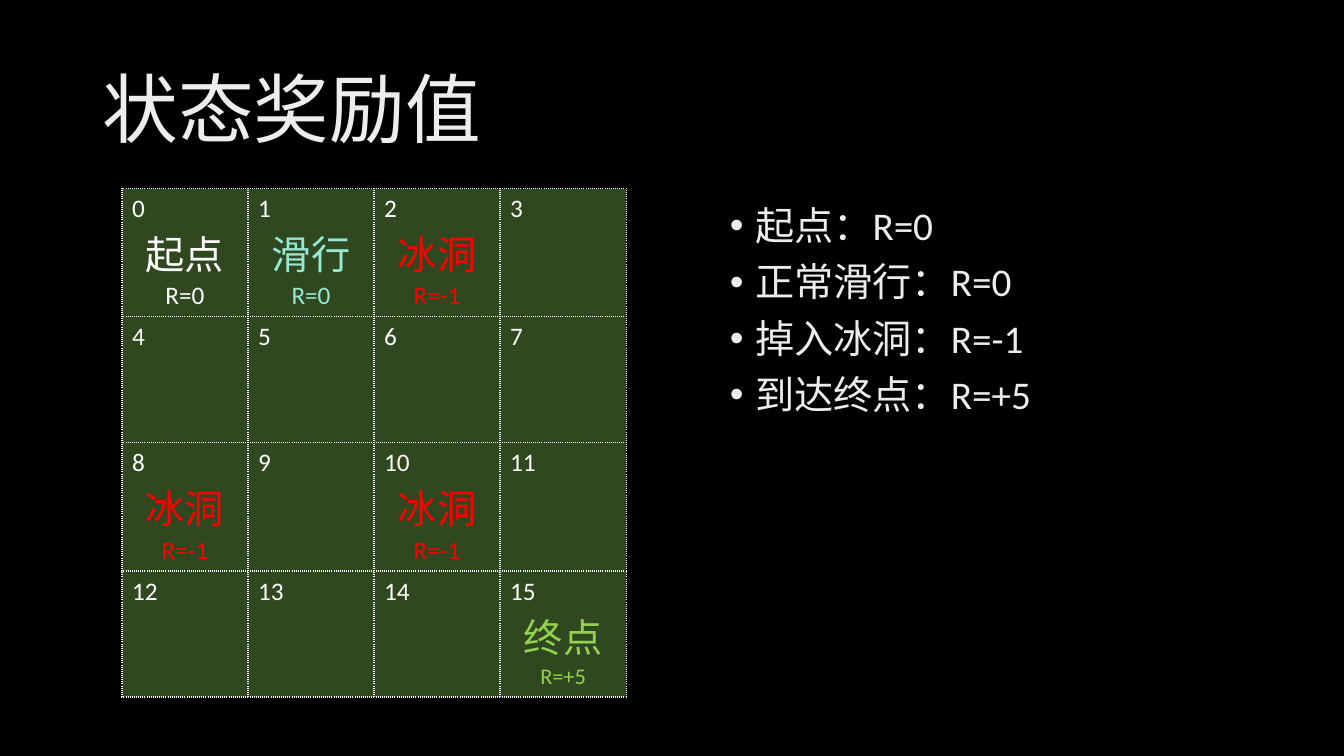
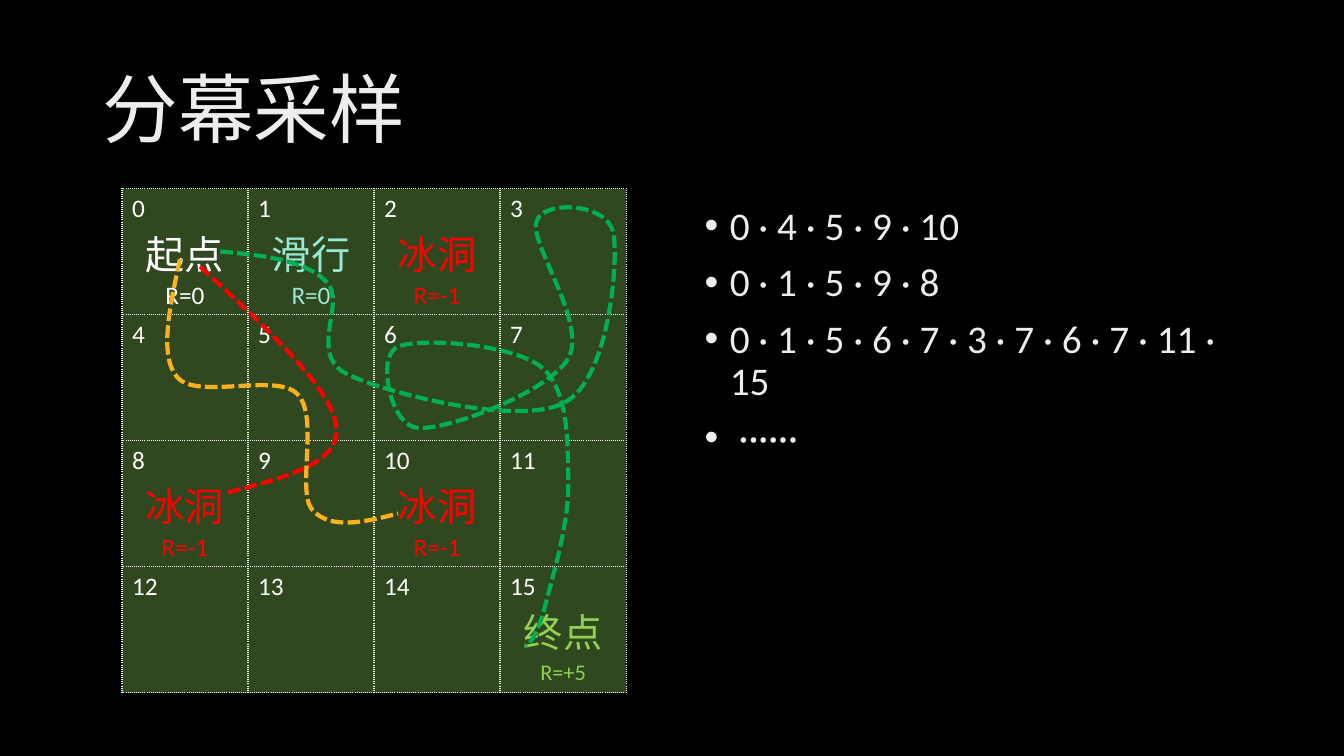
from dataclasses import dataclass

from lxml import etree
from pptx import Presentation
from pptx import util as u
from pptx.dml.color import RGBColor
from pptx.enum import dml, text
from pptx.oxml import ns, parse_xml


@dataclass(frozen=True)
class Theme:
    font: str = "Calibri"
    background: str = "000000"
    ink: str = "FFFFFF"
    board: str = "30481F"
    glide: str = "97E9D5"
    hole: str = "FF0000"
    goal: str = "92D050"
    orange: str = "FCB11C"
    green: str = "00B050"
    shades: tuple[str, str, str] = ("BFBFBF", "EDEDED", "FFFFFF")
    title_size: int = 54
    body_size: int = 28
    label_size: int = 28
    small_size: int = 18
    goal_size: int = 16
    border_width: int = 1
    route_width: int = 3


@dataclass(frozen=True)
class Box:
    """A rectangle in inches."""
    left: float
    top: float
    width: float
    height: float

    def lengths(self) -> tuple[int, ...]:
        return tuple(u.Inches(side) for side in (self.left, self.top, self.width, self.height))


@dataclass(frozen=True)
class Landmark:
    label: str
    reward: str
    color: str
    reward_size: int


@dataclass(frozen=True)
class Route:
    """A chain of cubic curves; points are (column, row) on the board."""
    color: str
    points: tuple[tuple[float, float], ...]


@dataclass(frozen=True)
class Page:
    title: str
    body_left: float
    bullets: tuple[str, ...]
    routes: tuple[Route, ...] = ()


THEME = Theme()
SLIDE_WIDTH, SLIDE_HEIGHT = 13.33, 7.5
TITLE_BOX = Box(0.92, 0.4, 11.5, 1.45)
BODY_TOP, BODY_HEIGHT = 2, 4.76
BODY_RIGHT = TITLE_BOX.left + TITLE_BOX.width
BOARD_LEFT, BOARD_TOP, CELL, GRID = 1.21, 1.87, 1.25, 4

HOLE = Landmark("冰洞", "R=-1", THEME.hole, THEME.small_size)
LANDMARKS = {
    0: Landmark("起点", "R=0", THEME.ink, THEME.small_size),
    1: Landmark("滑行", "R=0", THEME.glide, THEME.small_size),
    2: HOLE,
    8: HOLE,
    10: HOLE,
    15: Landmark("终点", "R=+5", THEME.goal, THEME.goal_size),
}

ROUTES = (
    Route(THEME.hole, (
        (0.62, 0.62),
        (1.14, 1.10), (1.67, 1.59), (1.70, 1.89),
        (1.74, 2.19), (1.27, 2.30), (0.81, 2.42),
    )),
    Route(THEME.orange, (
        (0.46, 0.56),
        (0.38, 0.94), (0.29, 1.33), (0.44, 1.50),
        (0.60, 1.68), (1.22, 1.46), (1.39, 1.63),
        (1.57, 1.81), (1.38, 2.40), (1.51, 2.55),
        (1.65, 2.71), (1.92, 2.65), (2.19, 2.58),
    )),
    Route(THEME.green, (
        (0.78, 0.50),
        (1.12, 0.53), (1.46, 0.57), (1.62, 0.74),
        (1.79, 0.90), (1.47, 1.31), (1.78, 1.47),
        (2.10, 1.63), (3.16, 1.89), (3.51, 1.70),
        (3.86, 1.52), (3.94, 0.60), (3.90, 0.36),
        (3.86, 0.11), (3.34, 0.09), (3.29, 0.26),
        (3.22, 0.42), (3.70, 1.07), (3.54, 1.35),
        (3.38, 1.62), (2.58, 1.92), (2.35, 1.90),
        (2.13, 1.89), (2.02, 1.34), (2.18, 1.26),
        (2.34, 1.18), (3.10, 1.23), (3.33, 1.42),
        (3.55, 1.60), (3.54, 2.05), (3.54, 2.38),
        (3.54, 2.70), (3.39, 3.17), (3.34, 3.38),
        (3.27, 3.59), (3.23, 3.61), (3.20, 3.63),
    )),
)

PAGES = (
    Page("状态奖励值", 7.14,
         ("起点：R=0", "正常滑行：R=0", "掉入冰洞：R=-1", "到达终点：R=+5")),
    Page("分幕采样", 6.89,
         ("0 · 4 · 5 · 9 · 10", "0 · 1 · 5 · 9 · 8",
          "0 · 1 · 5 · 6 · 7 · 3 · 7 · 6 · 7 · 11 · 15", " ······"),
         ROUTES),
)


def set_font(paragraph, size: int, color: str | None = None) -> None:
    for run in paragraph.runs:
        run.font.name = THEME.font
        run.font.size = u.Pt(size)
        if color:
            run.font.color.rgb = RGBColor.from_string(color)


def shade_text(paragraph, middle: int) -> None:
    """Fill the text with the theme's gradient, its middle stop at the given percent."""
    stops = "".join(
        f'<a:gs pos="{percent * 1000}"><a:srgbClr val="{color}"/></a:gs>'
        for percent, color in zip((0, middle, 100), THEME.shades))
    for run in paragraph.runs:
        run._r.get_or_add_rPr().insert(0, parse_xml(
            f'<a:gradFill {ns.nsdecls("a")}><a:gsLst>{stops}</a:gsLst>'
            '<a:lin ang="4800000" scaled="0"/></a:gradFill>'))


def add_text(slide, box: Box, lines: tuple[str, ...], size: int, middle: int):
    text_frame = slide.shapes.add_textbox(*box.lengths()).text_frame
    text_frame.word_wrap = True
    text_frame.text = "\n".join(lines)
    for paragraph in text_frame.paragraphs:
        paragraph.line_spacing = 0.9
        set_font(paragraph, size)
        shade_text(paragraph, middle)
    return text_frame


def add_title(slide, title: str) -> None:
    text_frame = add_text(slide, TITLE_BOX, (title,), THEME.title_size, 28)
    text_frame.vertical_anchor = text.MSO_ANCHOR.MIDDLE


def add_bullets(slide, left: float, lines: tuple[str, ...]) -> None:
    box = Box(left, BODY_TOP, BODY_RIGHT - left, BODY_HEIGHT)
    for paragraph in add_text(slide, box, lines, THEME.body_size, 34).paragraphs:
        paragraph.space_before = u.Pt(10)
        properties = paragraph._p.get_or_add_pPr()
        properties.set("marL", str(u.Inches(0.25)))
        properties.set("indent", str(-u.Inches(0.25)))
        properties.append(parse_xml(f'<a:buFont {ns.nsdecls("a")} typeface="Arial"/>'))
        properties.append(parse_xml(f'<a:buChar {ns.nsdecls("a")} char="•"/>'))


def set_borders(cell) -> None:
    properties = cell._tc.get_or_add_tcPr()
    for index, side in enumerate("LRTB"):
        properties.insert(index, parse_xml(
            f'<a:ln{side} {ns.nsdecls("a")} w="{u.Pt(THEME.border_width)}">'
            f'<a:solidFill><a:srgbClr val="{THEME.ink}"/></a:solidFill>'
            f'<a:prstDash val="sysDot"/></a:ln{side}>'))


def fill_cell(cell, number: int) -> None:
    cell.fill.solid()
    cell.fill.fore_color.rgb = RGBColor.from_string(THEME.board)
    set_borders(cell)
    lines = [(str(number), THEME.small_size, THEME.ink)]
    if landmark := LANDMARKS.get(number):
        lines += [(landmark.label, THEME.label_size, landmark.color),
                  (landmark.reward, landmark.reward_size, landmark.color)]
    cell.text_frame.text = "\n".join(line for line, _, _ in lines)
    for paragraph, (_, size, color) in zip(cell.text_frame.paragraphs, lines):
        set_font(paragraph, size, color)
    for paragraph in cell.text_frame.paragraphs[1:]:
        paragraph.alignment = text.PP_ALIGN.CENTER


def add_board(slide) -> None:
    box = Box(BOARD_LEFT, BOARD_TOP, GRID * CELL, GRID * CELL)
    table = slide.shapes.add_table(GRID, GRID, *box.lengths()).table
    table.first_row = table.horz_banding = False
    for number, cell in enumerate(table.iter_cells()):
        fill_cell(cell, number)


def add_route(slide, route: Route) -> None:
    start, *rest = [(u.Inches(BOARD_LEFT + column * CELL), u.Inches(BOARD_TOP + row * CELL))
                    for column, row in route.points]
    builder = slide.shapes.build_freeform(*start)
    builder.add_line_segments(rest, close=False)
    shape = builder.convert_to_shape()
    shape.shadow.inherit = False
    shape.fill.background()
    shape.line.color.rgb = RGBColor.from_string(route.color)
    shape.line.width = u.Pt(THEME.route_width)
    shape.line.dash_style = dml.MSO_LINE.SQUARE_DOT
    shape.line._ln.find(ns.qn("a:prstDash")).set("val", "sysDash")
    curve_segments(shape)


def curve_segments(shape) -> None:
    """Turn every three straight segments into one cubic curve."""
    segments = list(shape._element.iter(ns.qn("a:lnTo")))
    outline = segments[0].getparent()
    for first in range(0, len(segments), 3):
        curve = etree.SubElement(outline, ns.qn("a:cubicBezTo"))
        for segment in segments[first:first + 3]:
            curve.append(segment[0])
            outline.remove(segment)


def add_page(presentation, page: Page) -> None:
    slide = presentation.slides.add_slide(presentation.slide_layouts[6])
    slide.background.fill.solid()
    slide.background.fill.fore_color.rgb = RGBColor.from_string(THEME.background)
    add_board(slide)
    add_title(slide, page.title)
    add_bullets(slide, page.body_left, page.bullets)
    for route in page.routes:
        add_route(slide, route)


def main() -> None:
    presentation = Presentation()
    presentation.slide_width = u.Inches(SLIDE_WIDTH)
    presentation.slide_height = u.Inches(SLIDE_HEIGHT)
    for page in PAGES:
        add_page(presentation, page)
    presentation.save("out.pptx")


if __name__ == "__main__":
    main()
